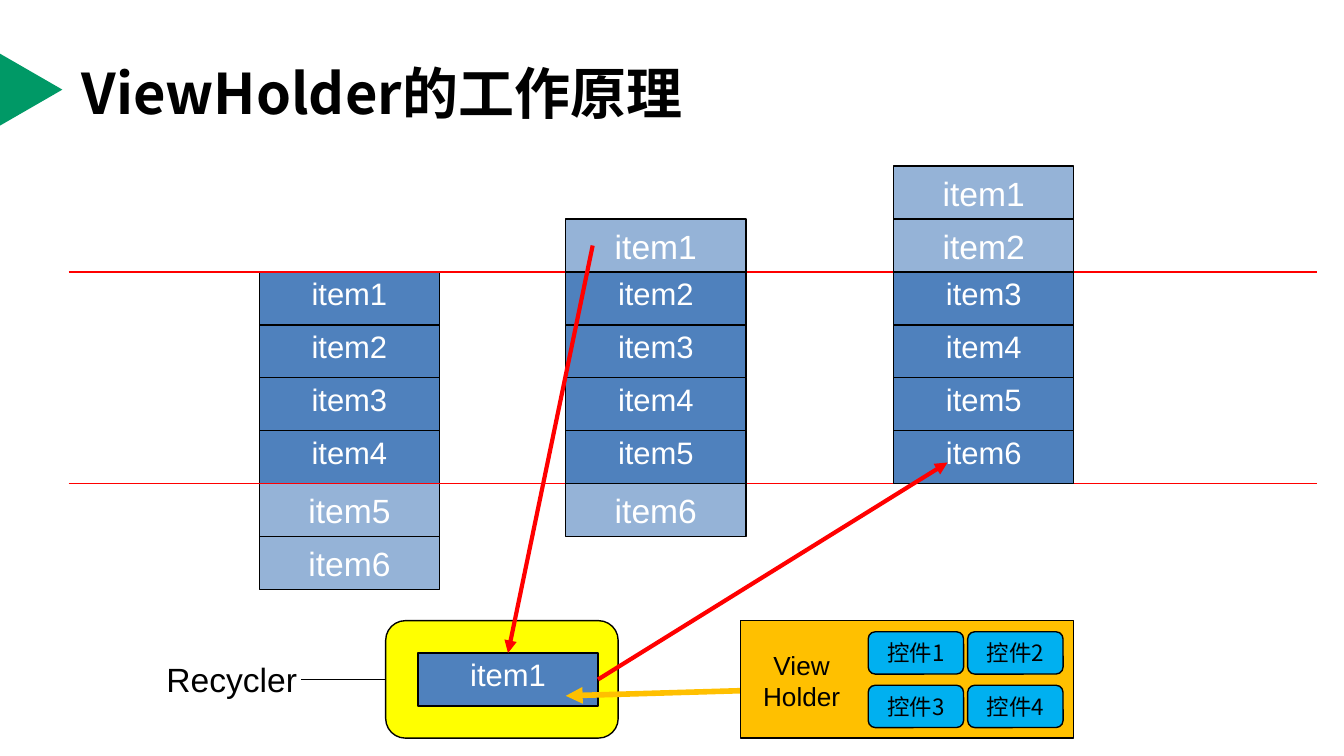
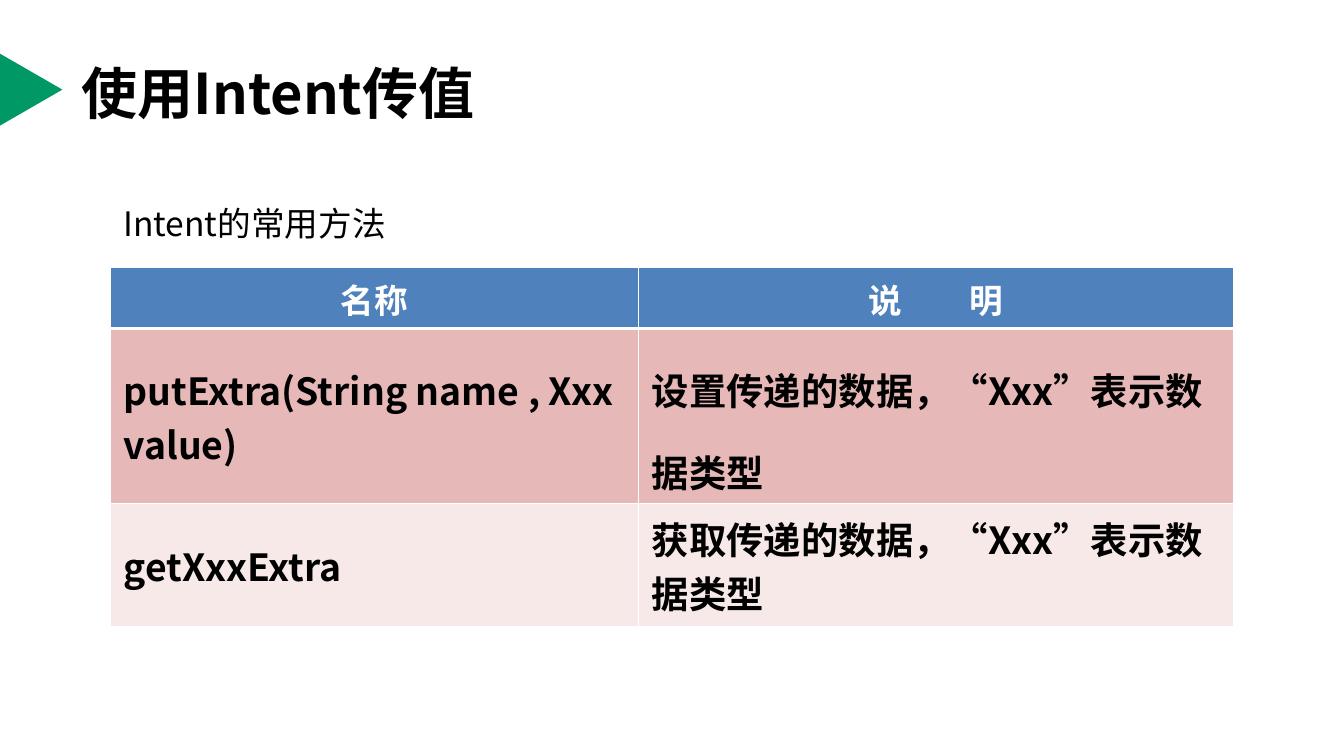
"""Build two slides: how ViewHolder recycles items, and the Intent methods."""
from dataclasses import dataclass

from lxml.etree import SubElement as Sub
from pptx import Presentation
from pptx.dml.color import RGBColor as Rgb
from pptx.enum.shapes import MSO_CONNECTOR as Link, MSO_SHAPE as Kind
from pptx.enum.text import MSO_ANCHOR as Anchor, PP_ALIGN as Align
from pptx.oxml.ns import qn
from pptx.util import Inches, Pt


@dataclass(frozen=True)
class Theme:
    black: str = "000000"
    white: str = "FFFFFF"
    green: str = "009966"
    blue: str = "4F81BD"
    pale: str = "95B3D7"
    red: str = "FF0000"
    yellow: str = "FFFF00"
    gold: str = "FFC000"
    sky: str = "00B0F0"
    rose: str = "E6B9B8"
    blush: str = "F7E9E7"
    latin: str = "Arial"
    asian: str = "Noto Sans CJK SC"
    title: float = 30
    cell: float = 20
    body: float = 18
    item: float = 16.6
    label: float = 14
    chip: float = 12
    thin: float = 0.75


T = Theme()
WIDE = 10
HIGH = WIDE * 9 / 16
COL, ROW = Inches(WIDE * 0.01), Inches(HIGH * 0.07)


def style(frame, size, ink, face, align=Align.LEFT, bold=False, lead=1):
    """Format every paragraph and run of a text frame."""
    for para in frame.paragraphs:
        para.alignment, para.line_spacing = align, lead
        for run in para.runs:
            font = run.font
            font.size, font.bold, font.name = Pt(size), bold, face
            font.color.rgb = Rgb.from_string(ink)
            Sub(font._element, qn("a:ea"), typeface=T.asian)


def box(slide, kind, col, row, wide, high, fill=None, edge=T.black):
    """Place a shape, or a text box when kind is None, on the grid."""
    area = [int(n) for n in (col * COL, row * ROW, wide * COL, high * ROW)]
    if kind is None:
        shape = slide.shapes.add_textbox(*area)
    else:
        shape = slide.shapes.add_shape(kind, *area)
        shape.shadow.inherit = False
        shape.fill.solid()
        shape.fill.fore_color.rgb = Rgb.from_string(fill)
        if edge:
            shape.line.color.rgb = Rgb.from_string(edge)
            shape.line.width = Pt(T.thin)
        else:
            shape.line.fill.background()
    frame = shape.text_frame
    frame.word_wrap, frame.vertical_anchor = True, Anchor.TOP
    return shape


deck = Presentation()
deck.slide_width, deck.slide_height = Inches(WIDE), Inches(HIGH)
pages = []
for words in ("ViewHolder的工作原理", "使用Intent传值"):
    page = deck.slides.add_slide(deck.slide_layouts[6])
    box(page, Kind.ISOSCELES_TRIANGLE, -0.4, 1.1, 5.4, 1.19, T.green, None).rotation = 90
    frame = box(page, None, 5.1, 0.55, 90, 2.39).text_frame
    frame.text, frame.vertical_anchor = words, Anchor.MIDDLE
    style(frame, T.title, T.black, T.asian, bold=True)
    pages.append(page)
flow, guide = pages

TOP, SHOWN, ITEMS = 5.14, 4, 6
LEFT, RIGHT, ITEM = 5.1, 98, 13.4
lines = []
for col, gone in ((19.3, 0), (42.1, 1), (66.5, 2)):
    for n in range(ITEMS):
        seen = gone <= n < gone + SHOWN
        shape = box(flow, Kind.RECTANGLE, col, TOP + n - gone, ITEM, 1, T.blue if seen else T.pale)
        shape.text_frame.text = f"item{n + 1}"
        style(shape.text_frame, T.item if seen else T.body, T.white, T.latin,
              Align.CENTER, lead=0.9 if seen else 1)
    if gone == 0:
        for row in (TOP, TOP + SHOWN):
            line = flow.shapes.add_connector(
                Link.STRAIGHT, int(LEFT * COL), int(row * ROW), int(RIGHT * COL), int(row * ROW))
            lines.append((line, T.red, T.thin, False))

pool = box(flow, Kind.ROUNDED_RECTANGLE, 28.7, 11.73, 17.3, 2.22, T.yellow)
slot = box(flow, Kind.RECTANGLE, 31.1, 12.34, ITEM, 1, T.blue)
slot.text_frame.text = "item1"
style(slot.text_frame, T.item, T.white, T.latin, Align.CENTER, lead=0.9)

for ends, start, stop, tone, width, head in (
    ((44.1, 4.64, 37.8, 12.34), None, (slot, 0), T.red, 2.25, True),
    ((44.5, 12.84, 70.5, 8.74), (slot, 3), None, T.red, 2.25, True),
    ((55.5, 13.05, 42.1, 13.15), None, None, T.gold, 3, True),
    ((22.4, 12.84, 28.7, 12.84), None, (pool, 1), T.black, T.thin, False),
):
    x1, y1, x2, y2 = ends
    line = flow.shapes.add_connector(
        Link.STRAIGHT, int(x1 * COL), int(y1 * ROW), int(x2 * COL), int(y2 * ROW))
    if start:
        line.begin_connect(*start)
    if stop:
        line.end_connect(*stop)
    lines.append((line, tone, width, head))

for line, tone, width, head in lines:
    line.line.color.rgb = Rgb.from_string(tone)
    line.line.width = Pt(width)
    props = line._element.spPr
    if head:
        Sub(props.get_or_add_ln(), qn("a:tailEnd"), type="triangle")
    Sub(props, qn("a:effectLst"))

frame = box(flow, None, 11.4, 12.32, 12.6, 1.02).text_frame
frame.text = "Recycler"
style(frame, T.body, T.black, T.latin)

box(flow, Kind.RECTANGLE, 55.1, 11.73, 24.8, 2.22, T.gold)
for n in range(4):
    down, over = divmod(n, 2)
    frame = box(flow, Kind.ROUNDED_RECTANGLE, 64.6 + over * 7.4, 11.94 + down * 1.01,
                7.1, 0.8, T.sky).text_frame
    frame.text, frame.vertical_anchor = f"控件{n + 1}", Anchor.MIDDLE
    style(frame, T.chip, T.black, T.asian, Align.CENTER)
frame = box(flow, None, 55.5, 12.14, 8.3, 1.45).text_frame
frame.text = "View\nHolder"
style(frame, T.label, T.black, T.latin, Align.CENTER)

ROWS = (
    (1.15, T.blue, ("名称", "说 ")),
    (3.31, T.rose, ("putExtra(String name , Xxx value)", "设置传递的数据，“Xxx”表示数据类型")),
    (2.31, T.blush, ("getXxxExtra", "获取传递的数据，“Xxx”表示数据类型")),
)
WIDTHS = (39.3, 44.3)
grid = guide.shapes.add_table(
    len(ROWS), len(WIDTHS), int(8.2 * COL), int(5.06 * ROW), int(sum(WIDTHS) * COL),
    int(sum(high for high, _, _ in ROWS) * ROW)).table
for n, wide in enumerate(WIDTHS):
    grid.columns[n].width = int(wide * COL)
for n, (high, fill, texts) in enumerate(ROWS):
    grid.rows[n].height = int(high * ROW)
    for k, words in enumerate(texts):
        cell = grid.cell(n, k)
        props = cell._tc.get_or_add_tcPr()
        for side in "LRTB":
            thick = (n, side) in ((0, "B"), (1, "T"))
            rim = Sub(props, qn(f"a:ln{side}"), w=str(Pt(1.47 if thick else 0.45)))
            Sub(Sub(rim, qn("a:solidFill")), qn("a:srgbClr"), val=T.white)
        cell.fill.solid()
        cell.fill.fore_color.rgb = Rgb.from_string(fill)
        cell.vertical_anchor = Anchor.MIDDLE
        frame = cell.text_frame
        frame.text = words
        if n == 0:
            if k == 1:
                first = frame.paragraphs[0].runs[0]
                first.font._element.set("spc", "1600")
                frame.paragraphs[0].add_run().text = "明"
            style(frame, T.body, T.white, T.latin, Align.CENTER, True)
        else:
            style(frame, T.cell, T.black, T.asian, bold=True, lead=1.5 if (n, k) == (1, 1) else 1)

frame = box(guide, None, 8.2, 3.71, 45.7, 1.02).text_frame
frame.text = "Intent的常用方法"
style(frame, T.body, T.black, T.asian)

deck.save("out.pptx")
